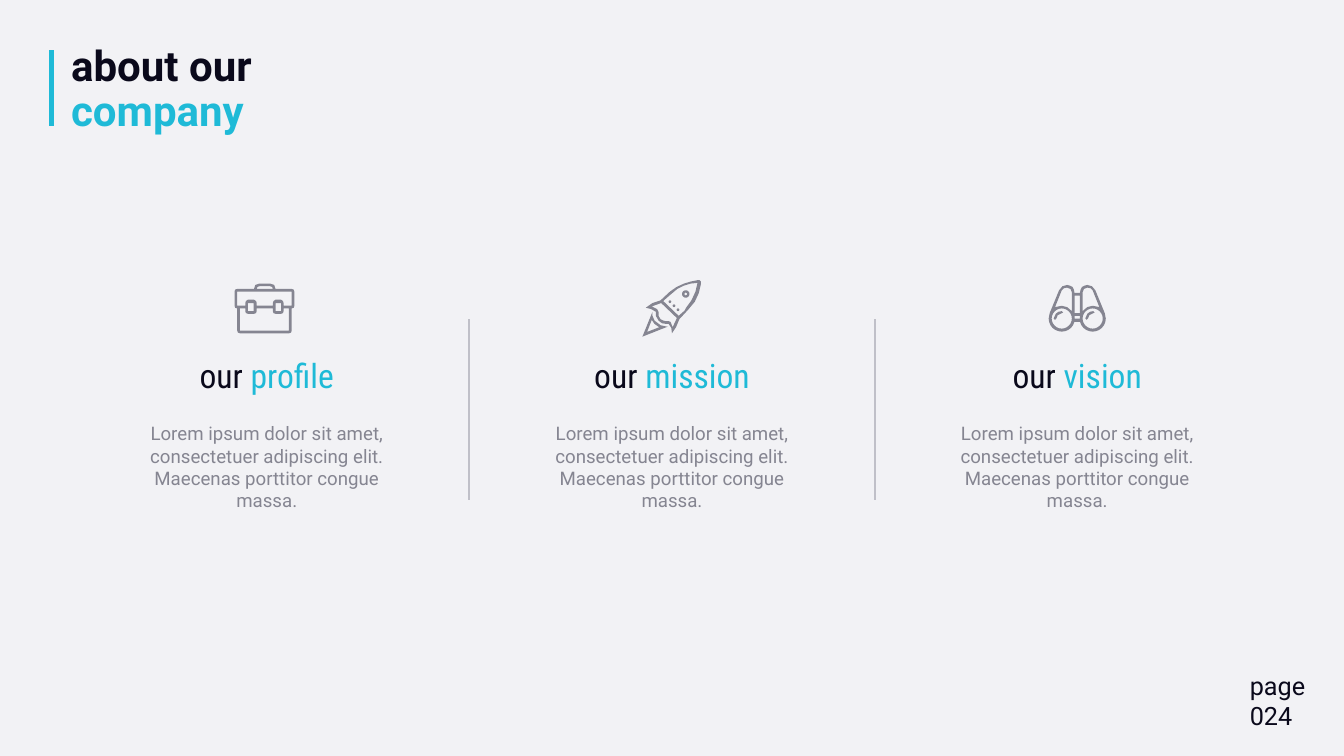
"""Builds the company slide with its profile, mission and vision columns."""
import math
import lxml.etree
import pptx
import pptx.dml.color
import pptx.enum.shapes
import pptx.enum.text
import pptx.oxml.ns
import pptx.util

HUES = {"back": "F2F2F5", "ink": "0A091B", "blue": "1FBAD7",
        "gray": "858591", "rule": "C0C0C8"}
HUES = {key: pptx.dml.color.RGBColor.from_string(hue) for key, hue in HUES.items()}

deck = pptx.Presentation()
deck.slide_width = pptx.util.Inches(20)
deck.slide_height = pptx.util.Inches(11.25)
cell = deck.slide_width / 200
mid, pitch = 100, 60.3
slide = deck.slides.add_slide(deck.slide_layouts[6])
slide.background.fill.solid()
slide.background.fill.fore_color.rgb = HUES["back"]


def write(box, lines, size, face="Roboto", bold=False, align=None):
    left, top, wide, high = [round(part * cell) for part in box]
    frame = slide.shapes.add_textbox(left, top, wide, high).text_frame
    frame.word_wrap = True
    for index, line in enumerate(lines):
        para = frame.add_paragraph() if index else frame.paragraphs[0]
        para.alignment = align
        for words, hue in line:
            if words == "\n":
                para.add_line_break()
                continue
            run = para.add_run()
            run.text = words
            run.font.name = face
            run.font.size = pptx.util.Pt(size)
            run.font.bold = bold
            run.font.color.rgb = HUES[hue]
    return frame


def arc(x, y, r, start=0, end=345, step=15):
    turn = step if end > start else -step
    return [(x + r * math.cos(math.radians(a)), y + r * math.sin(math.radians(a)))
            for a in range(start, end + turn, turn)]


rules = [(7.7, 7.5, 18.8, "blue", 5)]
rules += [(mid + side * pitch / 2, 47.5, 74.4, "rule", 2) for side in (-1, 1)]
for x, top, base, hue, width in rules:
    rule = slide.shapes.add_connector(
        pptx.enum.shapes.MSO_CONNECTOR.STRAIGHT,
        round(x * cell), round(top * cell), round(x * cell), round(base * cell))
    rule.line.color.rgb = HUES[hue]
    rule.line.width = pptx.util.Pt(width)
    lxml.etree.SubElement(rule._element.spPr, pptx.oxml.ns.qn("a:effectLst"))

title = write((9.6, 6.2, 59.6, 14.6),
              [[("about our", "ink"), ("\n", "ink"), ("company", "blue")]], 45, bold=True)
title.paragraphs[0].line_spacing = 0.9
write((185, 99.2, 19, 10.4), [[("page", "ink")], [("024", "ink")]], 27)

case = [
    [(85, 8), (61, 8), (59, 2), (53, 0), (37, 0), (31, 2), (29, 8), (4, 8),
     (1, 9), (0, 12), (0, 33), (1, 36), (4, 37), (4, 70), (5, 73), (8, 74),
     (81, 74), (84, 73), (85, 70), (85, 37), (88, 36), (89, 33), (89, 12), (88, 9)],
    [(37, 4), (53, 4), (56, 5), (57, 8), (33, 8), (34, 5)],
    [(81, 70), (8, 70), (8, 37), (16, 37), (16, 41), (17, 44), (20, 45),
     (29, 45), (32, 44), (33, 41), (33, 37), (57, 37), (57, 41), (58, 44),
     (61, 45), (69, 45), (72, 44), (73, 41), (73, 37), (81, 37)],
    [(85, 33), (73, 33), (73, 29), (72, 26), (69, 24), (61, 24), (58, 26),
     (57, 29), (57, 33), (33, 33), (33, 29), (32, 26), (29, 24), (20, 24),
     (17, 26), (16, 29), (16, 33), (4, 33), (4, 12), (85, 12)]]
case += [[(x, 29), (x + 8.5, 29), (x + 8.5, 41), (x, 41)] for x in (20, 61)]

rocket = [
    [(85, 0), (82, 0), (72, 2), (62, 5), (51, 10), (41, 17), (27, 30), (15, 34),
     (5, 41), (13, 43), (20, 47), (20, 53), (24, 60), (29, 64), (35, 65), (39, 65),
     (43, 71), (44, 79), (50, 70), (55, 58), (68, 44), (78, 32), (84, 19), (87, 6), (87, 2)],
    [(51, 57), (45, 70), (42, 62), (39, 61), (35, 61), (31, 60), (27, 58),
     (24, 53), (24, 47), (22, 43), (14, 39), (28, 34), (51, 56)],
    [(65, 41), (63, 45), (54, 53), (31, 31), (40, 23), (52, 13), (62, 8),
     (72, 5), (82, 4), (79, 17), (73, 30)],
    [(15, 47), (0, 84), (38, 69), (36, 69), (27, 67), (18, 60), (15, 53)],
    [(7, 77), (14, 59), (18, 65), (25, 70)],
    arc(64.5, 20.5, 5.5), arc(64.5, 20.5, 2)]
rocket += [arc(x, x - 9, 2) for x in (41, 47, 53)]

half = [(39, 12), (38, 7), (36, 3), (32, 1), (28, 0), (21, 2), (16, 8), (2, 42)]
half += arc(20, 50, 19.5, 180, 15)
tube = [(35, 39), (28, 33), (20, 31), (10, 33), (20, 8), (23, 5), (28, 4), (33, 6), (35, 11)]
glint = [(20, 39), (15, 40), (11, 43), (8, 50), (10, 52), (12, 50), (14, 45), (20, 42), (22, 41)]
glass = [half + [(86 - x, y) for x, y in reversed(half)],
         tube, [(86 - x, y) for x, y in tube],
         glint, [(x + 47, y) for x, y in glint],
         arc(20, 50, 15), arc(66, 50, 15)]
glass += [[(39, top), (47, top), (47, base), (39, base)] for top, base in ((16, 42), (46, 50))]

center = pptx.enum.text.PP_ALIGN.CENTER
blurb = "Lorem ipsum dolor sit amet, consectetuer adipiscing elit. Maecenas porttitor congue massa."
topics = [("profile", case, 34.9, 42.2), ("mission", rocket, 95.6, 41.7),
          ("vision", glass, 156, 42.4)]
for index, (name, loops, left, top) in enumerate(topics):
    x = mid + (index - 1) * pitch
    write((x - 14.6, 52.3, 29.2, 7.1), [[("our ", "ink"), (name, "blue")]],
          36, "Roboto Condensed", align=center)
    write((x - 20.95, 62.3, 41.9, 14.5), [[(blurb, "gray")]], 20, align=center)
    pen = None
    for loop in loops:
        dots = [(a * 10, b * 10) for a, b in loop]
        if pen:
            pen.move_to(*dots[0])
        else:
            pen = slide.shapes.build_freeform(*dots[0], scale=cell / 100)
        pen.add_line_segments(dots[1:], close=True)
    icon = pen.convert_to_shape(round(left * cell), round(top * cell))
    icon.shadow.inherit = False
    icon.fill.solid()
    icon.fill.fore_color.rgb = HUES["gray"]
    icon.line.fill.background()

deck.save("out.pptx")
